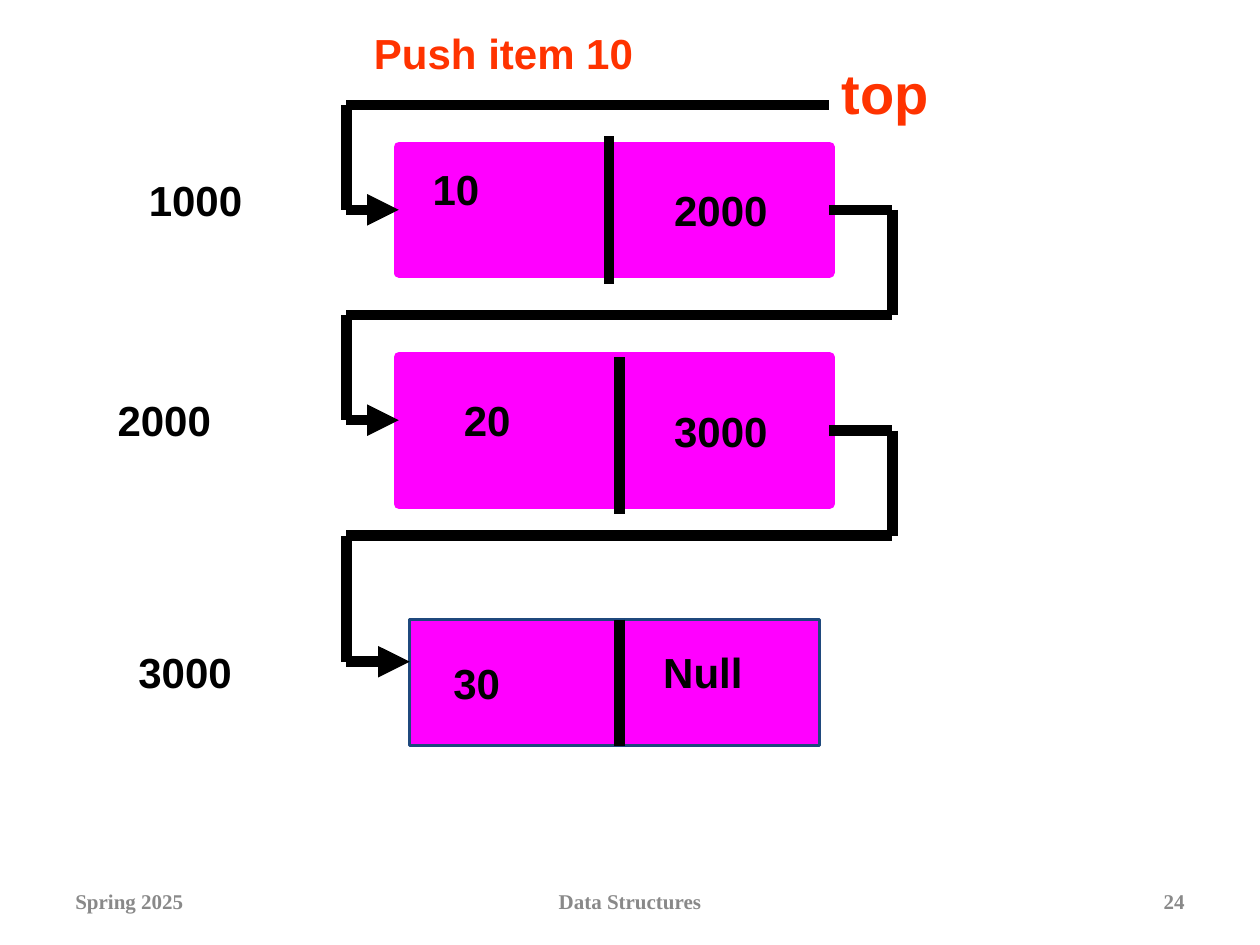
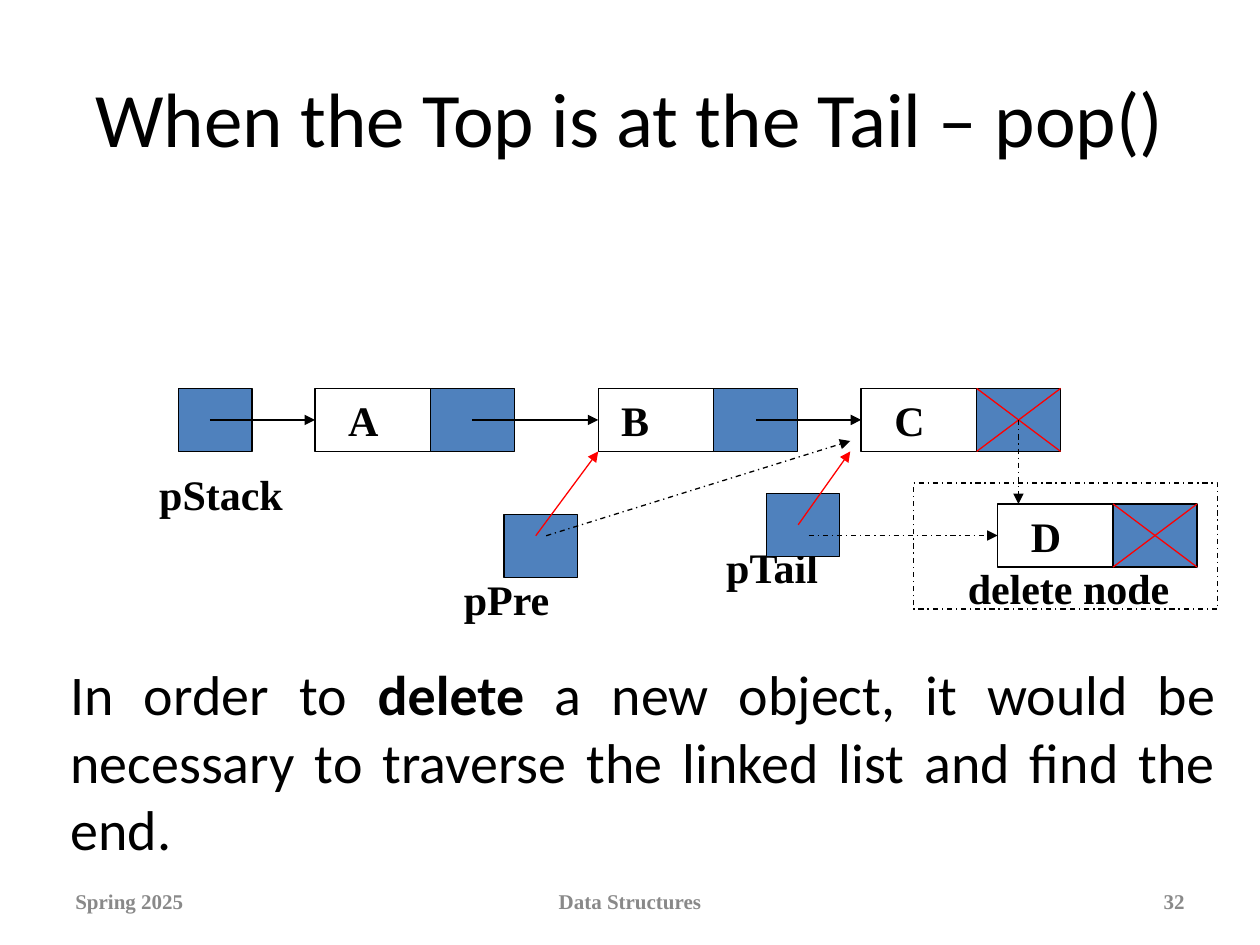
from lxml import etree
from pptx import Presentation
from pptx import util as u
from pptx.dml.color import RGBColor
from pptx.enum import dml, shapes, text as t
from pptx.oxml.ns import qn

rgb = RGBColor.from_string
BLACK, WHITE, RED, BLUE = "000000", "FFFFFF", "FF0000", "4F81BD"
MAGENTA, NAVY, ORANGE, GREY = "FF00FF", "1F497D", "FF3300", "898989"
SANS, SERIF, BODY = "Arial", "Times New Roman", "Calibri"
DASH_DOT = dml.MSO_LINE.DASH_DOT


def add_box(slide, left, top, width, height, text="", fill=None, outline=None, weight=0.75,
            dash=None, font=SERIF, size=24, color=BLACK, bold=True,
            align=t.PP_ALIGN.LEFT, anchor=t.MSO_ANCHOR.TOP):
    """Add a text box, or a rectangle if it has an outline; **marks** switch bold on and off."""
    frame = [u.Cm(length) for length in (left, top, width, height)]
    if outline:
        shape = slide.shapes.add_shape(shapes.MSO_SHAPE.RECTANGLE, *frame)
        shape.shadow.inherit = False
        shape.line.color.rgb = rgb(outline)
        shape.line.width = u.Pt(weight)
        if dash:
            shape.line.dash_style = dash
        if fill:
            shape.fill.solid()
            shape.fill.fore_color.rgb = rgb(fill)
        else:
            shape.fill.background()
        return shape
    shape = slide.shapes.add_textbox(*frame)
    shape.text_frame.word_wrap = True
    shape.text_frame.vertical_anchor = anchor
    paragraph = shape.text_frame.paragraphs[0]
    paragraph.alignment = align
    for index, part in enumerate(text.split("**")):
        run = paragraph.add_run()
        run.text = part
        run.font.name = font
        run.font.size = u.Pt(size)
        run.font.bold = bold or index % 2 == 1
        run.font.color.rgb = rgb(color)
    return shape


def add_line(slide, x1, y1, x2, y2, color=BLACK, weight=0.75, arrow=False, dash=None,
             begin=None, end=None):
    """Add a straight line; begin and end are (shape, side) pairs to join."""
    connector = slide.shapes.add_connector(
        shapes.MSO_CONNECTOR.STRAIGHT, *[u.Cm(length) for length in (x1, y1, x2, y2)])
    connector.line.color.rgb = rgb(color)
    connector.line.width = u.Pt(weight)
    if dash:
        connector.line.dash_style = dash
    properties = connector._element.spPr
    if arrow:
        etree.SubElement(properties.find(qn("a:ln")), qn("a:tailEnd"), type="triangle")
    etree.SubElement(properties, qn("a:effectLst"))
    if begin:
        connector.begin_connect(*begin)
    if end:
        connector.end_connect(*end)


presentation = Presentation()
presentation.slide_width, presentation.slide_height = u.Cm(25.4), u.Cm(19.05)
blank = presentation.slide_layouts[6]
push_slide, pop_slide = [presentation.slides.add_slide(blank) for _ in range(2)]

# Footers
for slide, number in ((push_slide, "24"), (pop_slide, "32")):
    for left, width, text, align in (
        (1.27, 5.93, "Spring 2025", t.PP_ALIGN.LEFT),
        (8.68, 8.04, "Data Structures", t.PP_ALIGN.CENTER),
        (18.2, 5.93, number, t.PP_ALIGN.RIGHT),
    ):
        add_box(slide, left, 17.65, width, 1.02, text, size=12, color=GREY,
                align=align, anchor=t.MSO_ANCHOR.MIDDLE)

# Push: a stack of nodes, each reached by a thick path from the one above
THICK = 6
PATH_LEFT, PATH_RIGHT = 6.98, 17.99
stack = [
    # node frame, outline, divider x and ends, path bar y and right end, arrow y
    ((8.04, 2.96, 8.68, 2.54), MAGENTA, THICK, (12.28, 2.75, 5.72), (2.12, 16.72), 4.23),
    ((8.04, 7.2, 8.68, 2.96), MAGENTA, THICK, (12.49, 7.2, 10.37), (6.35, PATH_RIGHT), 8.47),
    ((8.26, 12.49, 8.26, 2.54), NAVY, 1.5, (12.49, 12.49, 15.03), (10.8, PATH_RIGHT), 13.34),
]
previous = None
for frame, outline, weight, divider, bar, arrow_y in stack:
    left, top, width, height = frame
    divider_x, divider_top, divider_bottom = divider
    bar_y, bar_right = bar
    node = add_box(push_slide, *frame, fill=MAGENTA, outline=outline, weight=weight)
    add_line(push_slide, divider_x, divider_top, divider_x, divider_bottom, weight=THICK)
    if previous:
        add_line(push_slide, exit_x, exit_y, PATH_RIGHT, exit_y, weight=THICK, begin=(previous, 3))
        add_line(push_slide, PATH_RIGHT, exit_y, PATH_RIGHT, bar_y, weight=THICK)
    add_line(push_slide, PATH_LEFT, bar_y, bar_right, bar_y, weight=THICK)
    add_line(push_slide, PATH_LEFT, bar_y, PATH_LEFT, arrow_y, weight=THICK)
    meets_middle = abs(arrow_y - top - height / 2) < 0.02
    add_line(push_slide, PATH_LEFT, arrow_y, left, arrow_y, weight=THICK, arrow=True,
             end=(node, 1) if meets_middle else None)
    previous, exit_x, exit_y = node, left + width, top + height / 2

for left, top, width, text in (
    (2.75, 3.39, 3.18, "1000"), (8.47, 3.18, 3.18, "10"), (13.34, 3.6, 2.75, "2000"),
    (2.12, 7.83, 4.23, "2000"), (9.1, 7.83, 2.33, "20"), (13.34, 8.04, 2.54, "3000"),
    (2.54, 12.91, 4.02, "3000"), (8.89, 13.12, 2.33, "30"), (13.12, 12.91, 2.54, "Null"),
):
    add_box(push_slide, left, top, width, 1.27, text, font=SANS)
add_box(push_slide, 7.29, 0.42, 10.5, 1.27, "Push item 10", font=SANS, color=ORANGE)
add_box(push_slide, 16.72, 1.06, 6.14, 1.63, "top", font=SANS, size=32, color=ORANGE)

# Pop: a linked list whose last node is deleted
add_box(pop_slide, 1.27, 0.76, 22.86, 3.18, "When the Top is at the Tail – pop()", font=BODY,
        size=44, bold=False, align=t.PP_ALIGN.CENTER, anchor=t.MSO_ANCHOR.MIDDLE)
add_box(pop_slide, 1.17, 13.18, 23.6, 4.4,
        "In order to **delete** a new object, it would be necessary to traverse "
        "the linked list and find the end.",
        font=BODY, size=32, bold=False, align=t.PP_ALIGN.JUSTIFY)

CELL_HEIGHT, VALUE_WIDTH, LINK_WIDTH = 1.27, 2.33, 1.69
LIST_TOP, DELETED_TOP = 7.83, 10.16

for name, label_left, label_top, left, top in (
    ("pStack", 2.96, 9.31, 3.6, LIST_TOP),
    ("pTail", 14.39, 10.8, 15.45, 9.95),
    ("pPre", 9.1, 11.43, 10.16, 10.37),
):
    add_box(pop_slide, label_left, label_top, 3.6, 1.27, name)
    add_box(pop_slide, left, top, 1.48, CELL_HEIGHT, fill=BLUE, outline=BLACK)

# letter, node corner, letter indent, start of the incoming arrow, its dash, crossed link
for letter, left, top, indent, arrow_left, dash, crossed in (
    ("A", 6.35, LIST_TOP, 0.42, 4.23, None, False),
    ("B", 12.06, LIST_TOP, 0.21, 9.52, None, False),
    ("C", 17.36, LIST_TOP, 0.42, 15.24, None, True),
    ("D", 20.11, DELETED_TOP, 0.42, 16.3, DASH_DOT, True),
):
    link_left, bottom, middle = left + VALUE_WIDTH, top + CELL_HEIGHT, top + CELL_HEIGHT / 2
    value = add_box(pop_slide, left, top, VALUE_WIDTH, CELL_HEIGHT, fill=WHITE, outline=BLACK)
    add_box(pop_slide, link_left, top, LINK_WIDTH, CELL_HEIGHT, fill=BLUE, outline=BLACK)
    add_box(pop_slide, left + indent, top, 2.54, CELL_HEIGHT, letter)
    add_line(pop_slide, arrow_left, middle, left, middle, arrow=True, dash=dash, end=(value, 1))
    if crossed:
        for start, finish in ((top, bottom), (bottom, top)):
            add_line(pop_slide, link_left, start, link_left + LINK_WIDTH, finish, color=RED)

for x1, y1, x2, y2, color, dash in (
    (20.53, 8.47, 20.53, DELETED_TOP, BLACK, DASH_DOT),
    (16.09, 10.58, 17.14, 9.1, RED, None),
    (10.8, 10.8, 12.06, 9.1, RED, None),
    (11.01, 10.8, 17.14, 8.89, BLACK, DASH_DOT),
):
    add_line(pop_slide, x1, y1, x2, y2, color=color, arrow=True, dash=dash)

add_box(pop_slide, 18.41, 9.74, 6.14, 2.54, outline=BLACK, dash=DASH_DOT)
add_box(pop_slide, 19.26, 11.22, 6.14, 1.27, "delete node")

presentation.save("out.pptx")
